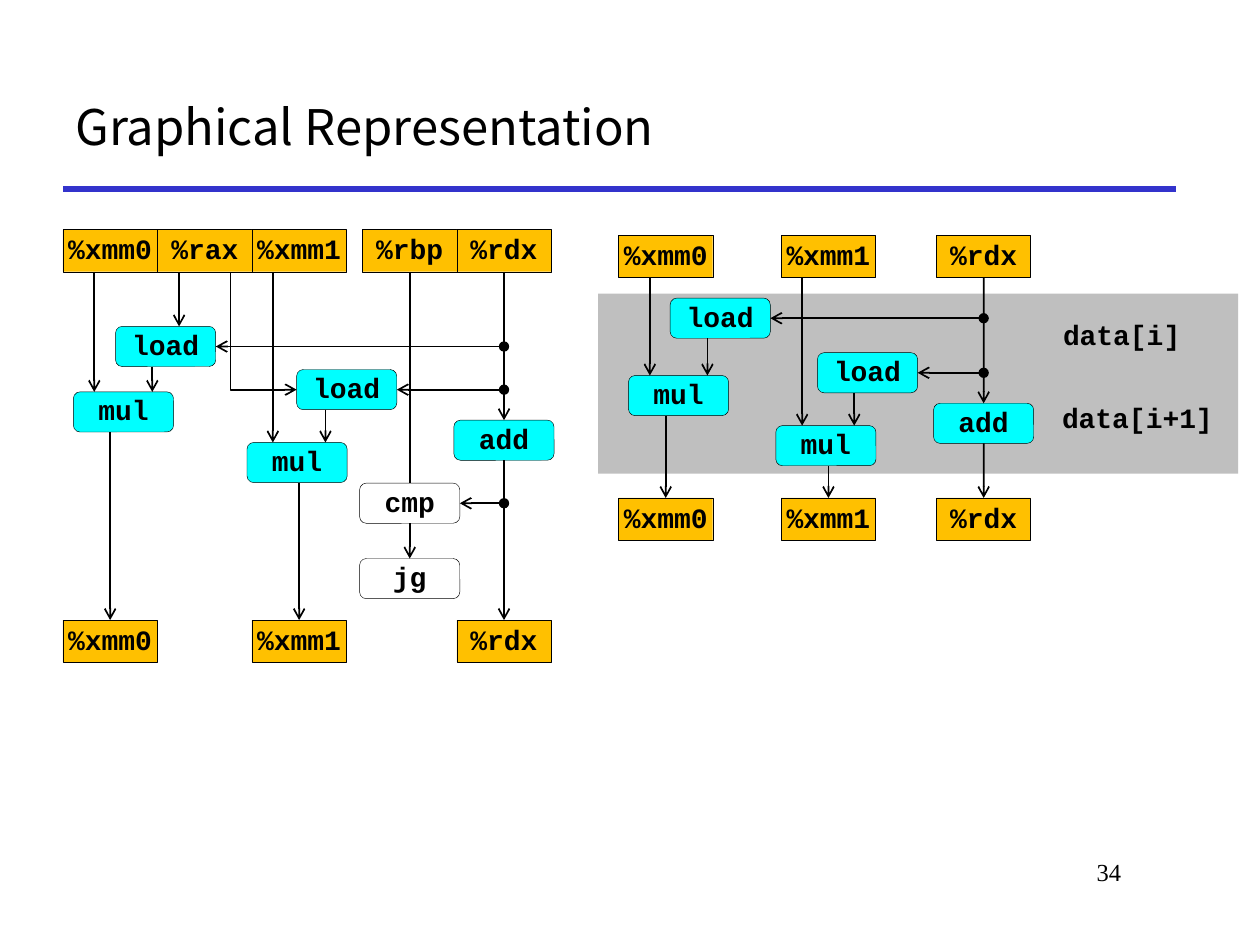
"""Build the data-flow graph slide with its full and simplified diagrams."""
from typing import NamedTuple

from lxml import etree
from pptx import Presentation
from pptx import util as u
from pptx.dml.color import RGBColor
from pptx.enum import shapes, text
from pptx.oxml import ns

BLACK, WHITE, GOLD, CYAN = "000000", "FFFFFF", "FFC000", "00FFFF"
GRAY, BLUE = "BFBFBF", "3333CC"
MONO = "Courier New"


class Style(NamedTuple):
    shape: int
    w: float
    h: float
    fill: str


REG = Style(shapes.MSO_SHAPE.RECTANGLE, 1.9, 0.85, GOLD)
OP = Style(shapes.MSO_SHAPE.ROUNDED_RECTANGLE, 2.02, 0.81, CYAN)
TEST = OP._replace(fill=WHITE)


class Node(NamedTuple):
    label: str
    style: Style
    cx: float
    top: float

    @property
    def bottom(self) -> float:
        return self.top + self.style.h

    @property
    def middle(self) -> float:
        return self.top + self.style.h / 2


class Wire(NamedTuple):
    source: str
    target: str
    x: float
    tail: str = "arrow"


class Diagram(NamedTuple):
    nodes: dict[str, Node]
    wires: list[Wire]
    taps: list[str]
    bus: float


FULL = Diagram(
    nodes={
        "xmm0 in": Node("%xmm0", REG, 2.22, 4.63),
        "rax in": Node("%rax", REG, 4.13, 4.63),
        "xmm1 in": Node("%xmm1", REG, 6.03, 4.63),
        "rbp in": Node("%rbp", REG, 8.26, 4.63),
        "rdx in": Node("%rdx", REG, 10.16, 4.63),
        "load 0": Node("load", OP, 3.34, 6.58),
        "mul 0": Node("mul", OP, 2.49, 7.9),
        "load 1": Node("load", OP, 6.99, 7.45),
        "mul 1": Node("mul", OP, 5.99, 8.92),
        "add": Node("add", OP, 10.16, 8.47),
        "cmp": Node("cmp", TEST, 8.26, 9.74),
        "jg": Node("jg", TEST, 8.26, 11.26),
        "xmm0 out": Node("%xmm0", REG, 2.22, 12.5),
        "xmm1 out": Node("%xmm1", REG, 6.03, 12.5),
        "rdx out": Node("%rdx", REG, 10.16, 12.5),
    },
    wires=[
        Wire("xmm0 in", "mul 0", 1.9), Wire("rax in", "load 0", 3.61),
        Wire("load 0", "mul 0", 3.07), Wire("mul 0", "xmm0 out", 2.22),
        Wire("xmm1 in", "mul 1", 5.5), Wire("load 1", "mul 1", 6.56),
        Wire("mul 1", "xmm1 out", 6.03), Wire("rbp in", "cmp", 8.26, "none"),
        Wire("cmp", "jg", 8.26), Wire("rdx in", "add", 10.16),
        Wire("add", "rdx out", 10.16),
    ],
    taps=["load 0", "load 1", "cmp"],
    bus=10.16,
)

SIMPLE = Diagram(
    nodes={
        "xmm0 in": Node("%xmm0", REG, 13.42, 4.74),
        "xmm1 in": Node("%xmm1", REG, 16.7, 4.75),
        "rdx in": Node("%rdx", REG, 19.83, 4.74),
        "load 0": Node("load", OP, 14.52, 6.01),
        "mul 0": Node("mul", OP, 13.68, 7.57),
        "load 1": Node("load", OP, 17.49, 7.11),
        "mul 1": Node("mul", OP, 16.65, 8.58),
        "add": Node("add", OP, 19.83, 8.13),
        "xmm0 out": Node("%xmm0", REG, 13.42, 10.04),
        "xmm1 out": Node("%xmm1", REG, 16.7, 10.04),
        "rdx out": Node("%rdx", REG, 19.83, 10.04),
    },
    wires=[
        Wire("xmm0 in", "mul 0", 13.1), Wire("load 0", "mul 0", 14.26),
        Wire("mul 0", "xmm0 out", 13.42), Wire("xmm1 in", "mul 1", 16.17),
        Wire("load 1", "mul 1", 17.22), Wire("mul 1", "xmm1 out", 16.7),
        Wire("rdx in", "add", 19.83), Wire("add", "rdx out", 19.83),
    ],
    taps=["load 0", "load 1"],
    bus=19.83,
)


def color(value: str) -> RGBColor:
    return RGBColor.from_string(value)


def box(*lengths: float) -> list[u.Length]:
    return [u.Cm(v) for v in lengths]


def write(tf, content: str, font: str, size: float, align=text.PP_ALIGN.LEFT,
          bold: bool = False, spacing: float = 1.0) -> None:
    tf.word_wrap = True
    tf.text = content
    p = tf.paragraphs[0]
    p.alignment, p.line_spacing = align, spacing
    f = p.runs[0].font
    f.name, f.size, f.bold = font, u.Pt(size), bold
    f.color.rgb = color(BLACK)


def add_label(s, content: str, *place: float) -> None:
    tf = s.shapes.add_textbox(*box(*place)).text_frame
    write(tf, content, MONO, 16, bold=True, spacing=0.9)


def add_filled(s, kind: int, fill: str, *place: float):
    sp = s.shapes.add_shape(kind, *box(*place))
    sp.shadow.inherit = False
    sp.fill.solid()
    sp.fill.fore_color.rgb = color(fill)
    sp.line.fill.background()
    return sp


def add_node(s, n: Node):
    st = n.style
    sp = add_filled(s, st.shape, st.fill, n.cx - st.w / 2, n.top, st.w, st.h)
    sp.line.color.rgb = color(BLACK)
    sp.line.width = u.Pt(0.25)
    tf = sp.text_frame
    tf.margin_left = tf.margin_right = tf.margin_top = tf.margin_bottom = 0
    tf.vertical_anchor = text.MSO_ANCHOR.MIDDLE
    write(tf, n.label, MONO, 16, text.PP_ALIGN.CENTER, True, 0.9)
    return sp


def add_line(s, *ends: float, head: str = "none", tail: str = "none",
             stroke: str = BLACK, width: float = 1,
             kind=shapes.MSO_CONNECTOR.STRAIGHT):
    c = s.shapes.add_connector(kind, *box(*ends))
    c.line.color.rgb = color(stroke)
    c.line.width = u.Pt(width)
    ln = c.line._get_or_add_ln()
    for tag, end in (("a:headEnd", head), ("a:tailEnd", tail)):
        etree.SubElement(ln, ns.qn(tag), type=end)
    etree.SubElement(c._element.spPr, ns.qn("a:effectLst"))
    return c


def add_corner(s, x0: float, y0: float, x1: float, y1: float) -> None:
    c = add_line(s, x0, y0, x1, y1, tail="arrow", kind=shapes.MSO_CONNECTOR.ELBOW)
    w, h = x1 - x0, y1 - y0
    c.left, c.top, c.width, c.height = box((x0 + x1 - h) / 2, (y0 + y1 - w) / 2, h, w)
    pr = c._element.spPr
    pr.find(ns.qn("a:prstGeom")).set("prst", "bentConnector2")
    xfrm = pr.find(ns.qn("a:xfrm"))
    xfrm.set("rot", "16200000")
    xfrm.set("flipH", "1")


def draw(s, d: Diagram) -> None:
    drawn = {key: add_node(s, n) for key, n in d.nodes.items()}
    for w in d.wires:
        a, b = d.nodes[w.source], d.nodes[w.target]
        c = add_line(s, w.x, a.bottom, w.x, b.top, tail=w.tail)
        if w.x == a.cx:
            c.begin_connect(drawn[w.source], 2)
        if w.x == b.cx:
            c.end_connect(drawn[w.target], 0)
    for key in d.taps:
        n = d.nodes[key]
        c = add_line(s, d.bus, n.middle, n.cx + n.style.w / 2, n.middle,
                     head="oval", tail="arrow")
        c.end_connect(drawn[key], 3)


def main() -> None:
    prs = Presentation()
    prs.slide_width, prs.slide_height = box(25.4, 19.05)
    s = prs.slides.add_slide(prs.slide_layouts[5])
    title = s.shapes.title
    title.left, title.top, title.width, title.height = box(1.27, 1.27, 22.43, 2.54)
    title.text_frame.vertical_anchor = text.MSO_ANCHOR.MIDDLE
    write(title.text_frame, "Graphical Representation", "Noto Sans CJK KR", 28)
    add_line(s, 1.27, 3.81, 23.7, 3.81, stroke=BLUE, width=3)
    add_filled(s, shapes.MSO_SHAPE.RECTANGLE, GRAY, 12.06, 5.92, 12.9, 3.63)
    add_label(s, "data[i]", 21.18, 6.35, 3.07, 0.86)
    add_label(s, "data[i+1]", 21.16, 8.03, 3.73, 0.86)
    draw(s, FULL)
    rax, load = FULL.nodes["rax in"], FULL.nodes["load 1"]
    add_corner(s, 4.65, rax.bottom, load.cx - OP.w / 2, load.middle)
    draw(s, SIMPLE)
    number = s.shapes.add_textbox(*box(19.25, 17.15, 3.6, 1.27))
    write(number.text_frame, "34", "Times New Roman", 14, text.PP_ALIGN.RIGHT)
    prs.save("out.pptx")


if __name__ == "__main__":
    main()
